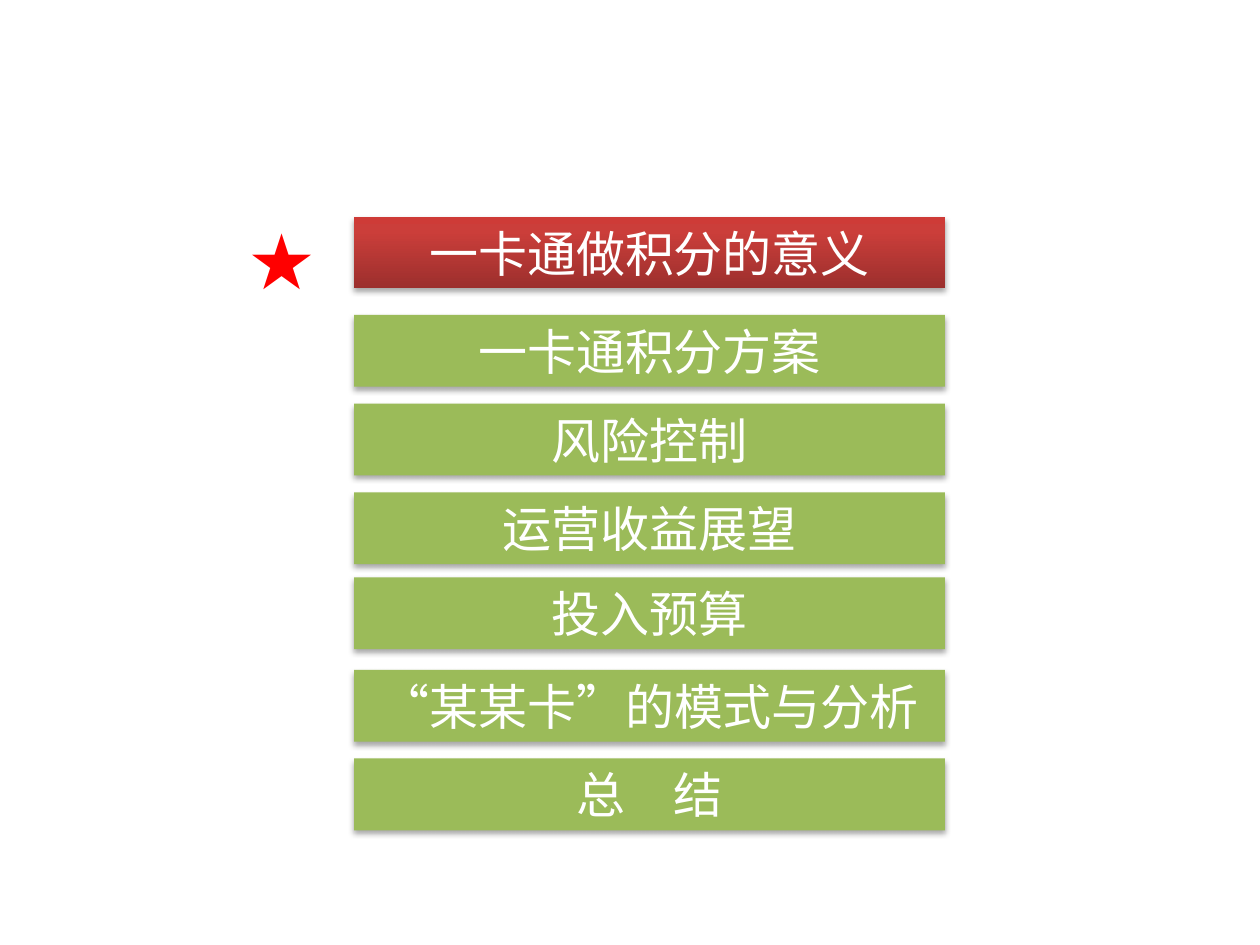
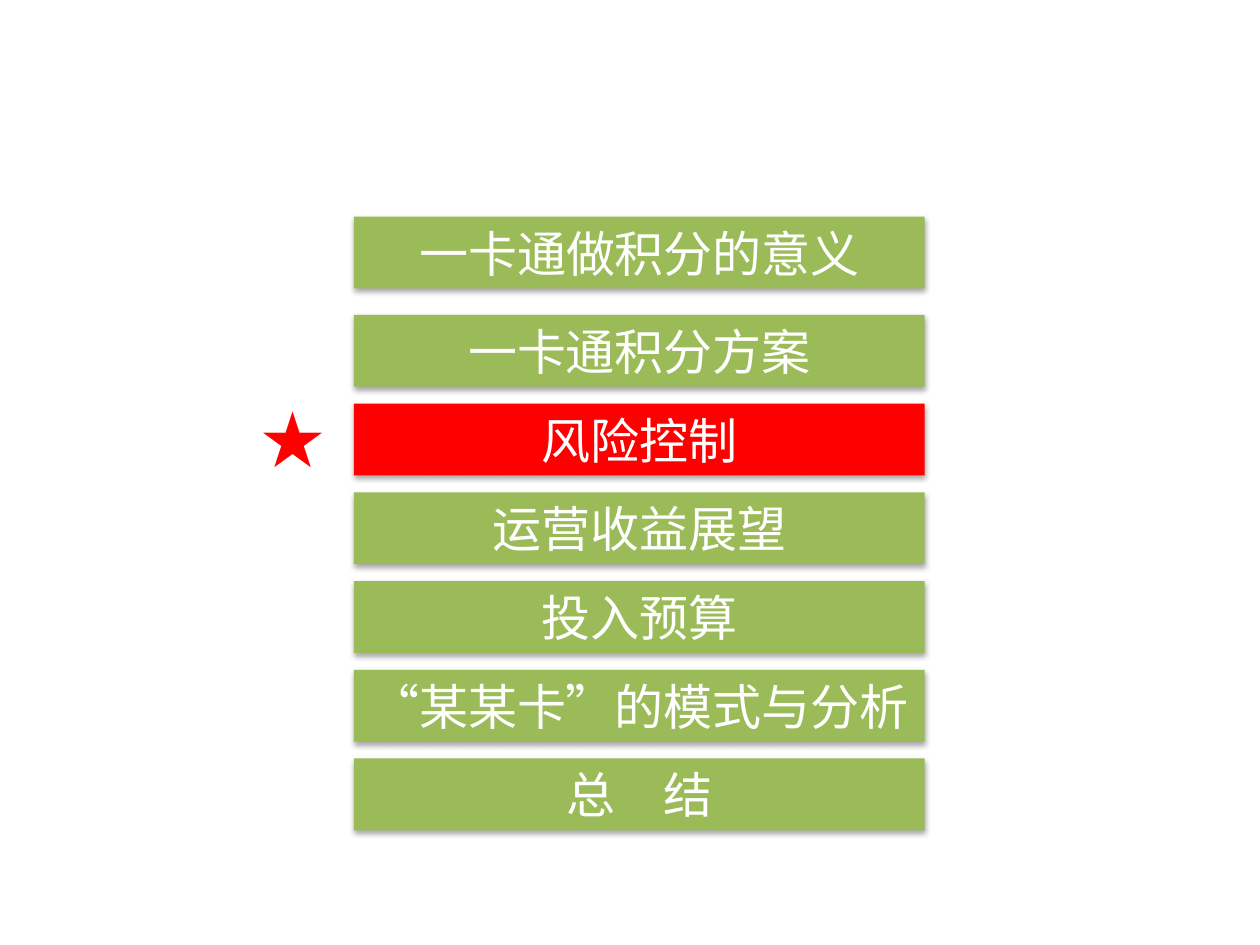
from lxml.etree import SubElement
from pptx import Presentation
from pptx.dml.color import RGBColor
from pptx.enum.shapes import MSO_SHAPE
from pptx.enum.text import MSO_ANCHOR, PP_ALIGN
from pptx.oxml.ns import qn
from pptx.util import Inches, Pt

COLORS = {"green": "9BBB59", "red": "FF0000", "white": "FFFFFF", "shadow": "000000"}
RED_GRADIENT = [(0, "9C2F2D"), (80, "CB3E3A"), (100, "CE3B37")]
FONT = "Calibri"

CHAPTERS = [
    "一卡通做积分的意义",
    "一卡通积分方案",
    "风险控制",
    "运营收益展望",
    "投入预算",
    "“某某卡”的模式与分析",
    "总　结",
]

# "nudges" shifts single bars off the common rhythm, by chapter index
AGENDAS = [
    {"current": 0, "highlight": RED_GRADIENT, "bar_width": 4.69,
     "star": (1.87, 1.64), "nudges": {4: -0.03}},
    {"current": 2, "highlight": COLORS["red"], "bar_width": 4.53,
     "star": (1.95, 3.05), "nudges": {}},
]

BAR_LEFT, BAR_HEIGHT = 2.81, 0.57
FIRST_TOP, SECOND_TOP, LAST_TOP = 1.72, 2.5, 6.02
BAR_STEP = (LAST_TOP - SECOND_TOP) / (len(CHAPTERS) - 2)
STAR_SIZE = (0.47, 0.84)


def bar_top(index):
    """The first bar stands apart; the others are evenly spaced."""
    return FIRST_TOP if index == 0 else SECOND_TOP + (index - 1) * BAR_STEP


def write_text(shape, text, size, color, align=PP_ALIGN.LEFT, anchor=MSO_ANCHOR.TOP):
    frame = shape.text_frame
    frame.word_wrap = True
    frame.vertical_anchor = anchor
    para = frame.paragraphs[0]
    para.alignment = align
    span = para.add_run()
    span.text = text
    span.font.name = FONT
    span.font.size = Pt(size)
    span.font.color.rgb = RGBColor.from_string(color)


def add_color(parent, color, alpha=None):
    node = SubElement(parent, qn("a:srgbClr"), val=color)
    if alpha is not None:
        SubElement(node, qn("a:alpha"), val=str(alpha * 1000))


def paint(shape, fill):
    """Fill with one colour, or with a list of stops running bottom to top."""
    if isinstance(fill, str):
        shape.fill.solid()
        shape.fill.fore_color.rgb = RGBColor.from_string(fill)
        return
    shape.fill.gradient()
    shape.fill.gradient_angle = 90
    stops = shape._element.spPr.find(qn("a:gradFill")).find(qn("a:gsLst"))
    for stop in list(stops):
        stops.remove(stop)
    for position, color in fill:
        add_color(SubElement(stops, qn("a:gs"), pos=str(position * 1000)), color)


def cast_shadow(shape):
    shape.shadow.inherit = False
    effects = shape._element.spPr.find(qn("a:effectLst"))
    shadow = SubElement(effects, qn("a:outerShdw"), blurRad=str(Pt(3.1)),
                        dist=str(Pt(1.8)), dir="5400000", rotWithShape="0")
    add_color(shadow, COLORS["shadow"], alpha=35)


def add_bar(page, text, top, width, fill):
    bar = page.shapes.add_shape(
        MSO_SHAPE.RECTANGLE,
        *map(Inches, (BAR_LEFT, top, width, BAR_HEIGHT)))
    paint(bar, fill)
    bar.line.fill.background()
    cast_shadow(bar)
    write_text(bar, text, 28, COLORS["white"],
               align=PP_ALIGN.CENTER, anchor=MSO_ANCHOR.MIDDLE)


def add_agenda(deck, agenda):
    page = deck.slides.add_slide(deck.slide_layouts[6])
    for index, chapter in enumerate(CHAPTERS):
        fill = agenda["highlight"] if index == agenda["current"] else COLORS["green"]
        top = bar_top(index) + agenda["nudges"].get(index, 0)
        add_bar(page, chapter, top, agenda["bar_width"], fill)
    star = page.shapes.add_textbox(*map(Inches, agenda["star"] + STAR_SIZE))
    write_text(star, "★", 44, COLORS["red"])


def main():
    deck = Presentation()
    deck.slide_width, deck.slide_height = Inches(10), Inches(7.5)
    for agenda in AGENDAS:
        add_agenda(deck, agenda)
    deck.save("out.pptx")


if __name__ == "__main__":
    main()
